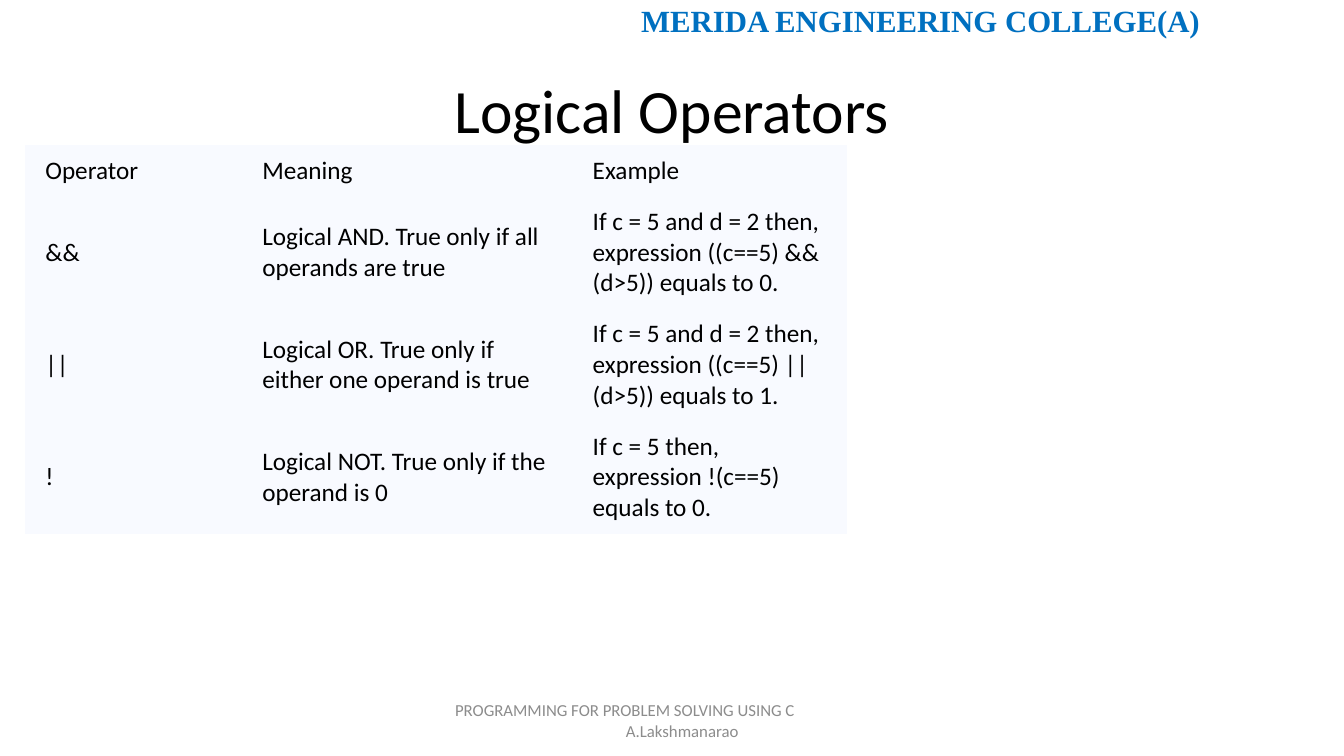
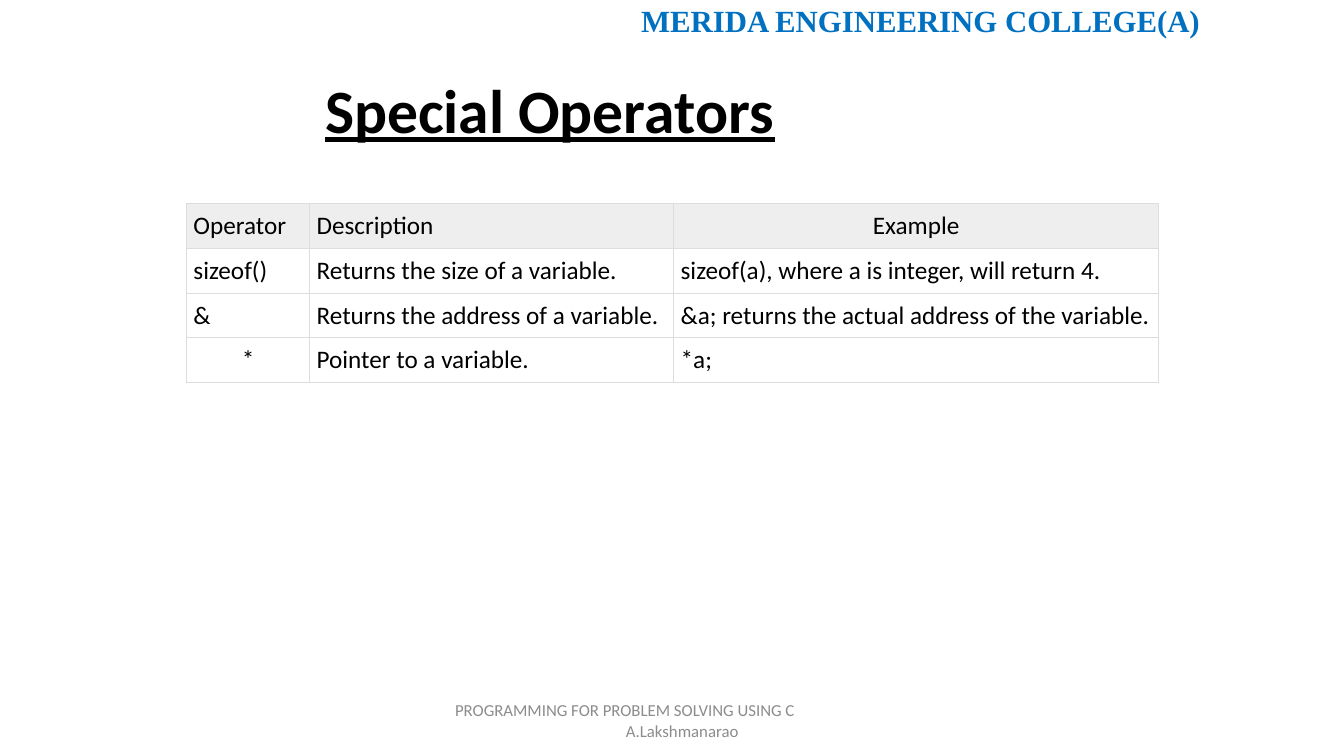
from dataclasses import dataclass
from typing import Any

import pptx
import pptx.dml.color
import pptx.enum.text
import pptx.oxml
import pptx.oxml.ns
import pptx.presentation
import pptx.slide
import pptx.util

Pt = pptx.util.Pt
Align = pptx.enum.text.PP_ALIGN
Anchor = pptx.enum.text.MSO_ANCHOR
Fit = pptx.enum.text.MSO_AUTO_SIZE
qn = pptx.oxml.ns.qn

NO_STYLE = "{2D5ABB26-0587-4C30-8999-92F81FD0307C}"
HEADER = "MERIDA ENGINEERING COLLEGE(A)"
FOOTER = ("PROGRAMMING FOR PROBLEM SOLVING USING C", "A.Lakshmanarao")


@dataclass(frozen=True)
class Theme:
    sans: str = "Calibri"
    serif: str = "Times New Roman"
    black: str = "000000"
    blue: str = "0070C0"
    gray: str = "8C8C8C"
    pale: str = "F8FAFF"
    band: str = "EEEEEE"
    rule: str = "DDDDDD"
    title: float = 44
    head: float = 22
    body: float = 18
    foot: float = 12


THEME = Theme()


@dataclass(frozen=True)
class Box:
    left: float
    top: float
    width: float
    height: float


@dataclass(frozen=True)
class Grid:
    left: float
    top: float
    cols: tuple[float, ...]
    heights: tuple[float, ...]
    rows: tuple[tuple[str, ...], ...]
    pad: tuple[float, float]
    head: str
    fill: str | None = None
    rule: str | None = None
    anchor: Any = Anchor.TOP
    center: tuple[tuple[int, int], ...] = ()


@dataclass(frozen=True)
class Page:
    title: str
    style: dict[str, Any]
    grid: Grid


HEAD_BOX = Box(348, -2, 516, 34)
TITLE_BOX = Box(66, 29, 828, 104)
FOOT_BOX = Box(318, 500, 324, 29)

PAGES = (
    Page(
        "Logical Operators",
        {"align": Align.CENTER},
        Grid(
            18, 103.7, (155, 236, 196), (36.4, 80.2, 80.2, 80.2),
            (
                ("Operator", "Meaning", "Example"),
                ("&&", "Logical AND. True only if all operands are true",
                 "If c = 5 and d = 2 then, expression ((c==5) && (d>5)) equals to 0."),
                ("||", "Logical OR. True only if either one operand is true",
                 "If c = 5 and d = 2 then, expression ((c==5) || (d>5)) equals to 1."),
                ("!", "Logical NOT. True only if the operand is 0",
                 "If c = 5 then, expression !(c==5) equals to 0."),
            ),
            pad=(14.4, 7.2), head=THEME.pale, fill=THEME.pale, anchor=Anchor.MIDDLE,
        ),
    ),
    Page(
        "Special Operators",
        {"align": Align.LEFT, "bold": True, "line": True, "indent": 159},
        Grid(
            133.2, 145.4, (88, 260, 346.5), (31.6,) * 4,
            (
                ("Operator", "Description", "Example"),
                ("sizeof()", "Returns the size of a variable.",
                 "sizeof(a), where a is integer, will return 4."),
                ("&", "Returns the address of a variable.",
                 "&a; returns the actual address of the variable."),
                ("*", "Pointer to a variable.", "*a;"),
            ),
            pad=(5, 5), head=THEME.band, rule=THEME.rule, center=((0, 2), (3, 0)),
        ),
    ),
)


def write(par: Any, text: str, *, size: float = THEME.body, font: str = THEME.sans,
          color: str = THEME.black, bold: bool = False, line: bool = False,
          align: Any = Align.LEFT, indent: float = 0, space: float = 1) -> None:
    """Fill a paragraph with one formatted run."""
    par.alignment = align
    par.line_spacing = space
    run = par.add_run()
    run.text = text
    face = run.font
    face.name, face.size, face.bold, face.underline = font, Pt(size), bold, line
    face.color.rgb = pptx.dml.color.RGBColor.from_string(color)
    if indent:
        props = par._p.get_or_add_pPr()
        props.set("marL", str(Pt(indent)))
        props.set("indent", "0")


def add_box(slide: pptx.slide.Slide, box: Box, anchor: Any = Anchor.TOP) -> Any:
    shape = slide.shapes.add_textbox(
        Pt(box.left), Pt(box.top), Pt(box.width), Pt(box.height))
    shape.text_frame.word_wrap = True
    shape.text_frame.vertical_anchor = anchor
    return shape


def add_head(slide: pptx.slide.Slide) -> None:
    """Place the header on the layout, so every slide inherits it."""
    shape = add_box(slide, HEAD_BOX)
    write(shape.text_frame.paragraphs[0], HEADER, size=THEME.head, font=THEME.serif,
          color=THEME.blue, bold=True, align=Align.RIGHT)
    slide.slide_layout.shapes.element.append(shape.element)


def add_title(slide: pptx.slide.Slide, page: Page) -> None:
    shape = slide.shapes.title
    shape.left, shape.top = Pt(TITLE_BOX.left), Pt(TITLE_BOX.top)
    shape.width, shape.height = Pt(TITLE_BOX.width), Pt(TITLE_BOX.height)
    frame = shape.text_frame
    frame.auto_size = Fit.NONE
    frame.vertical_anchor = Anchor.MIDDLE
    write(frame.paragraphs[0], page.title, size=THEME.title, space=0.9, **page.style)


def add_foot(slide: pptx.slide.Slide) -> None:
    frame = add_box(slide, FOOT_BOX, Anchor.MIDDLE).text_frame
    for par, text, indent in zip(
            (frame.paragraphs[0], frame.add_paragraph()), FOOTER, (0, 122)):
        write(par, text, size=THEME.foot, color=THEME.gray, indent=indent)


def add_rules(cell: Any, color: str) -> None:
    """Draw thin lines on all four sides of a cell."""
    props = cell._tc.get_or_add_tcPr()
    for side in ("lnL", "lnR", "lnT", "lnB"):
        props.append(pptx.oxml.parse_xml(
            f'<a:{side} {pptx.oxml.ns.nsdecls("a")} w="{Pt(0.6)}"><a:solidFill>'
            f'<a:srgbClr val="{color}"/></a:solidFill></a:{side}>'))


def add_cell(cell: Any, text: str, grid: Grid, row: int, col: int) -> None:
    cell.margin_left = cell.margin_right = Pt(grid.pad[0])
    cell.margin_top = cell.margin_bottom = Pt(grid.pad[1])
    cell.vertical_anchor = grid.anchor
    if grid.rule:
        add_rules(cell, grid.rule)
    fill = grid.fill if row else grid.head
    if fill:
        cell.fill.solid()
        cell.fill.fore_color.rgb = pptx.dml.color.RGBColor.from_string(fill)
    else:
        cell.fill.background()
    align = Align.CENTER if (row, col) in grid.center else Align.LEFT
    write(cell.text_frame.paragraphs[0], text, align=align)


def add_grid(slide: pptx.slide.Slide, grid: Grid) -> None:
    frame = slide.shapes.add_table(
        len(grid.rows), len(grid.cols), Pt(grid.left), Pt(grid.top),
        Pt(sum(grid.cols)), Pt(sum(grid.heights)))
    table = frame.table
    table.first_row = table.horz_banding = False
    for style in frame.element.iter(qn("a:tableStyleId")):
        style.text = NO_STYLE
    for col, width in zip(table.columns, grid.cols):
        col.width = Pt(width)
    for row, height in zip(table.rows, grid.heights):
        row.height = Pt(height)
    for r, texts in enumerate(grid.rows):
        for c, text in enumerate(texts):
            add_cell(table.cell(r, c), text, grid, r, c)


def main() -> None:
    deck = pptx.Presentation()
    deck.slide_width, deck.slide_height = Pt(960), Pt(540)
    layout = deck.slide_layouts.get_by_name("Title Only")
    for i, page in enumerate(PAGES):
        slide = deck.slides.add_slide(layout)
        if i == 0:
            add_head(slide)
        add_title(slide, page)
        add_grid(slide, page.grid)
        add_foot(slide)
    deck.save("out.pptx")


if __name__ == "__main__":
    main()
